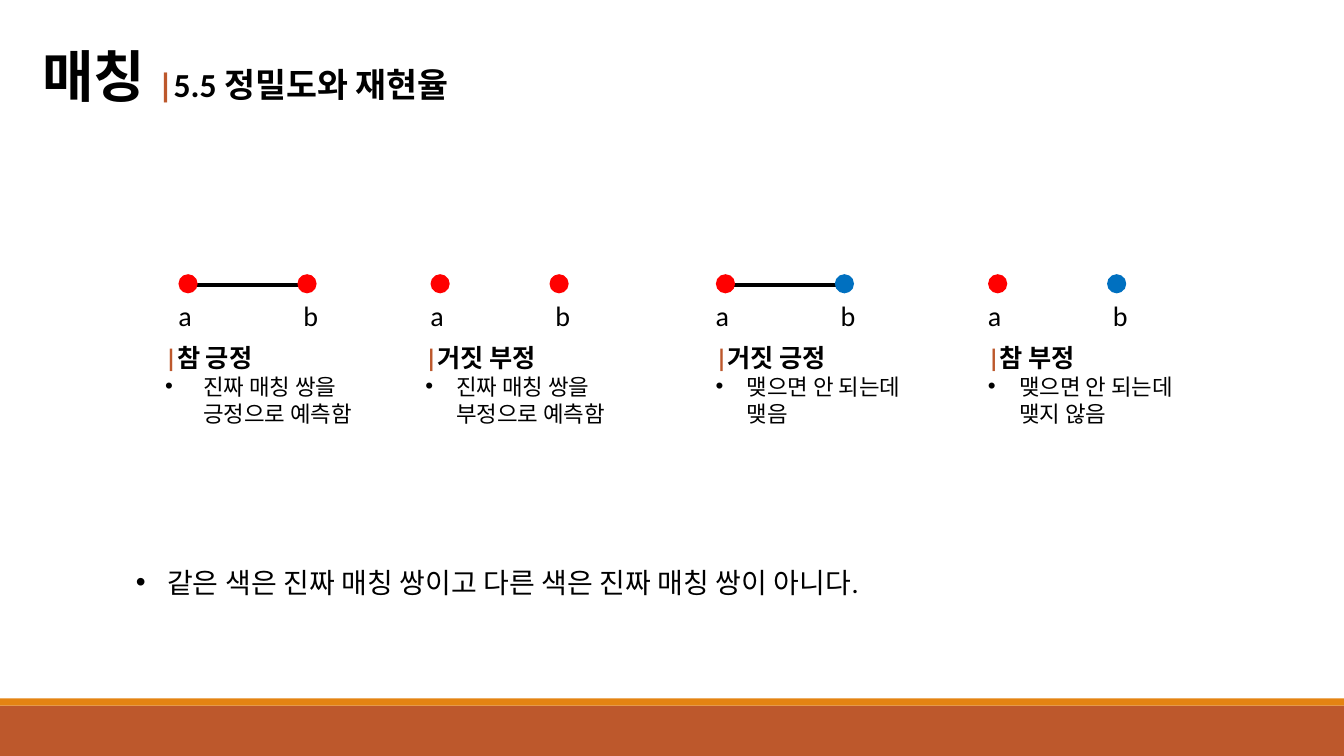
from lxml.etree import SubElement
from pptx import Presentation
from pptx.dml.color import RGBColor
from pptx.enum.shapes import MSO_CONNECTOR, MSO_SHAPE
from pptx.oxml.ns import qn
from pptx.util import Pt

SCALE = 9144
BLACK, RUST, AMBER = "000000", "BD582C", "E48312"
RED, BLUE = "FF0000", "0070C0"


def px(count):
    return count * SCALE


def tint(code):
    return RGBColor.from_string(code)


class Deck:
    face = "Calibri"
    hangul = "Noto Sans CJK KR"

    def __init__(self, wide, high):
        self.file = Presentation()
        self.file.slide_width, self.file.slide_height = px(wide), px(high)
        self.slide = self.file.slides.add_slide(self.file.slide_layouts[6])

    def shape(self, kind, left, top, wide, high, fill):
        item = self.slide.shapes.add_shape(kind, px(left), px(top), px(wide), px(high))
        item.shadow.inherit = False
        item.fill.solid()
        item.fill.fore_color.rgb = tint(fill)
        item.line.fill.background()

    def line(self, left, right, top):
        item = self.slide.shapes.add_connector(
            MSO_CONNECTOR.STRAIGHT, px(left), px(top), px(right), px(top))
        item.line.color.rgb = tint(BLACK)
        item.line.width = Pt(3)
        SubElement(item._element.spPr, qn("a:effectLst"))

    def box(self, left, top, wide, high):
        frame = self.slide.shapes.add_textbox(px(left), px(top), px(wide), px(high)).text_frame
        frame.word_wrap = True
        return frame

    def style(self, para, parts, size, bold=False, indent=0):
        if indent:
            props = para._p.get_or_add_pPr()
            props.set("marL", str(px(indent)))
            props.set("indent", str(-px(indent)))
            SubElement(props, qn("a:buFont"), typeface="Arial")
            SubElement(props, qn("a:buChar"), char="•")
        font = para.font
        font.name, font.size, font.bold = self.face, Pt(size), bold
        font.color.rgb = tint(BLACK)
        SubElement(para._p.pPr.find(qn("a:defRPr")), qn("a:ea"), typeface=self.face)
        for text, color in parts:
            run = para.add_run()
            run.text = text
            if color != BLACK:
                run.font.color.rgb = tint(color)
        return para

    def text(self, left, top, wide, high, words, size, indent=0):
        frame = self.box(left, top, wide, high)
        self.style(frame.paragraphs[0], [(words, BLACK)], size, indent=indent)

    def title(self, head, topic):
        frame = self.box(32, 36, 462, 77)
        parts = [(head, BLACK), ("|", RUST), (topic, BLACK)]
        first = self.style(frame.paragraphs[0], parts, 24, True).runs[0]
        first.font.name, first.font.size = self.hangul, Pt(40)

    def note(self, left, wide, head, body, indent):
        frame = self.box(left, 335, wide, 94)
        self.style(frame.paragraphs[0], [("|", RUST), (head, BLACK)], 18, True)
        self.style(frame.add_paragraph(), [(body, BLACK)], 16, indent=indent)

    def pair(self, left, color, linked):
        if linked:
            self.line(left + 19, left + 138, 283)
        for name, dot, label, fill in (("a", 10, 0, RED), ("b", 128, 124, color)):
            self.shape(MSO_SHAPE.OVAL, left + dot, 272, 19, 19, fill)
            self.text(left + label, 291, 59, 44, name, 20)


def main():
    deck = Deck(1333, 750)
    deck.shape(MSO_SHAPE.RECTANGLE, 0, 700, 1333, 50, RUST)
    deck.shape(MSO_SHAPE.RECTANGLE, 0, 693, 1333, 7, AMBER)
    deck.title("매칭 ", "5.5 정밀도와 재현율")
    deck.text(125, 556, 1084, 44,
              "같은 색은 진짜 매칭 쌍이고 다른 색은 진짜 매칭 쌍이 아니다.", 20, 31)
    cases = [
        (167, RED, True, 154, 224, "참 긍정", "진짜 매칭 쌍을 긍정으로 예측함", 38),
        (417, RED, False, 412, 224, "거짓 부정", "진짜 매칭 쌍을 부정으로 예측함", 31),
        (700, BLUE, True, 700, 218, "거짓 긍정", "맺으면 안 되는데 맺음", 31),
        (970, BLUE, False, 970, 218, "참 부정", "맺으면 안 되는데 맺지 않음", 31),
    ]
    for left, color, linked, *note in cases:
        deck.pair(left, color, linked)
        deck.note(*note)
    deck.file.save("out.pptx")


if __name__ == "__main__":
    main()
